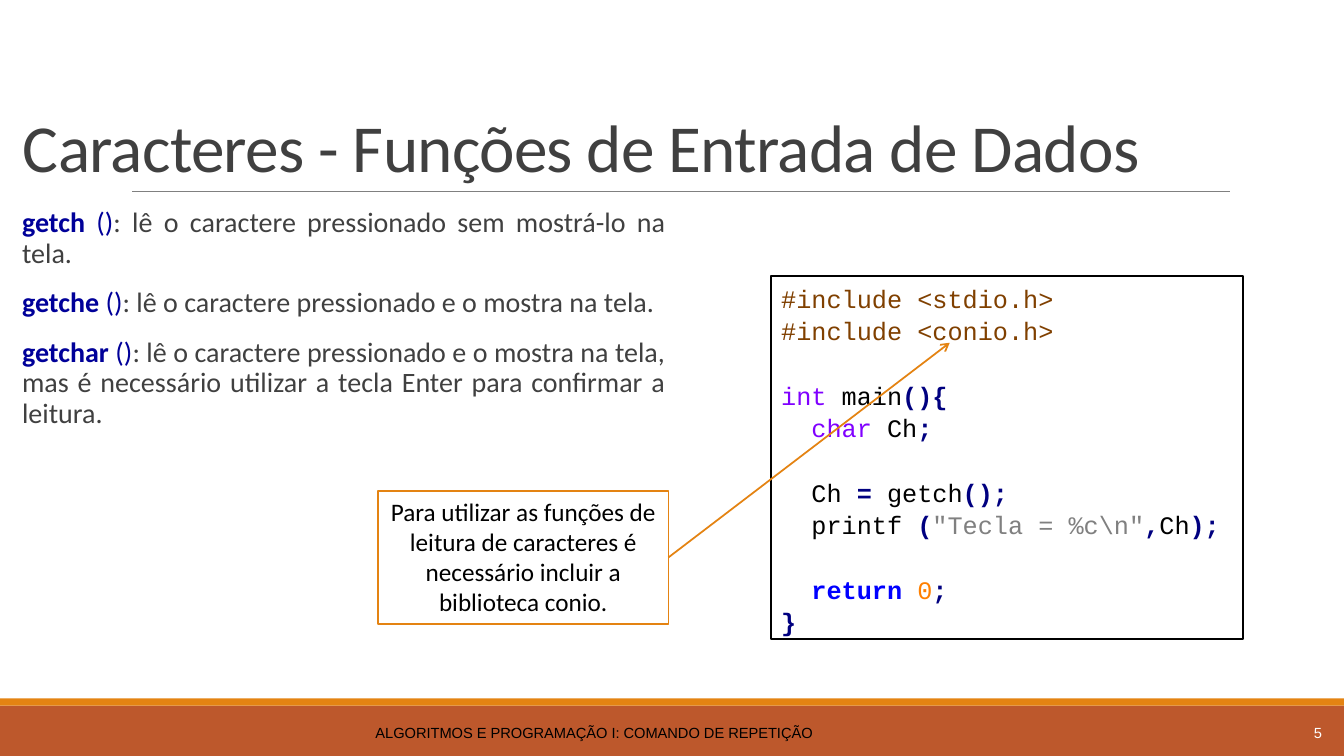
import pptx
import pptx.util
import pptx.dml.color
import pptx.enum.shapes
import pptx.enum.text
import pptx.oxml.ns
from lxml import etree

Inches = pptx.util.Inches
Pt = pptx.util.Pt
Align = pptx.enum.text.PP_ALIGN
Anchor = pptx.enum.text.MSO_ANCHOR
Rectangle = pptx.enum.shapes.MSO_SHAPE.RECTANGLE
Straight = pptx.enum.shapes.MSO_CONNECTOR.STRAIGHT

theme = {
    "white": "FFFFFF", "black": "000000", "rust": "BD582C", "orange": "E48312",
    "rule": "808080", "text": "404040", "function": "000099",
    "include": "804000", "type": "8000FF", "operator": "000080",
    "string": "808080", "keyword": "0000FF", "number": "FF8000",
    "title_size": 48, "body_size": 20, "code_size": 18, "footer_size": 10.5,
    "font": "Calibri", "code_font": "Courier New", "footer_font": "Arial",
}
bold_colors = {"function", "operator", "keyword"}


def color(name):
    return pptx.dml.color.RGBColor.from_string(theme[name])


def write(shape, lines, font, size, alignment=Align.LEFT, anchor=Anchor.TOP, spacing=None):
    frame = shape.text_frame
    frame.word_wrap = True
    frame.vertical_anchor = anchor
    for index, pieces in enumerate(lines):
        paragraph = frame.paragraphs[0] if index == 0 else frame.add_paragraph()
        paragraph.alignment = alignment
        paragraph.line_spacing = spacing
        for text, name in pieces:
            run = paragraph.add_run()
            run.text = text
            run.font.name = theme[font]
            run.font.size = Pt(theme[size])
            run.font.bold = name in bold_colors and text != " ()"
            run.font.color.rgb = color(name)
    return frame


presentation = pptx.Presentation()
presentation.slide_width = Inches(13.33)
presentation.slide_height = Inches(7.5)
slide = presentation.slides.add_slide(presentation.slide_layouts[6])
shapes = slide.shapes

boxes = []
for left, top, width, height, fill, line in [
    (0, 7, 13.33, 0.5, "rust", None),
    (0, 6.93, 13.33, 0.07, "orange", None),
    (7.65, 2.74, 4.68, 3.6, "white", "black"),
    (3.75, 4.87, 2.88, 1.32, "white", "orange"),
]:
    box = shapes.add_shape(Rectangle, Inches(left), Inches(top), Inches(width), Inches(height))
    box.shadow.inherit = False
    box.fill.solid()
    box.fill.fore_color.rgb = color(fill)
    if line:
        box.line.color.rgb = color(line)
        box.line.width = Pt(1.25)
    else:
        box.line.fill.background()
    boxes.append(box)
footer_band, footer_stripe, code, callout = boxes

title = shapes.add_textbox(Inches(0.13), Inches(0.31), Inches(13.1), Inches(1.59))
title_frame = write(title, [[("Caracteres - Funções de Entrada de Dados", "text")]],
                    "font", "title_size", anchor=Anchor.BOTTOM, spacing=0.85)
title_frame.paragraphs[0].runs[0].font._element.set("spc", "-50")

functions = [
    ("getch", ": lê o caractere pressionado sem mostrá-lo na tela."),
    ("getche", ": lê o caractere pressionado e o mostra na tela."),
    ("getchar", ": lê o caractere pressionado e o mostra na tela, mas é necessário "
                "utilizar a tecla Enter para confirmar a leitura."),
]
body = shapes.add_textbox(Inches(0.12), Inches(2.02), Inches(6.48), Inches(4.91))
body_frame = write(
    body,
    [[(name, "function"), (" ()", "function"), (description, "text")]
     for name, description in functions],
    "font", "body_size", Align.JUSTIFY, spacing=0.9)
body_frame.margin_left = Inches(0.1)
body_frame.margin_right = 0
for paragraph in body_frame.paragraphs:
    paragraph.space_before = Pt(12)
    paragraph.space_after = Pt(2)

code_lines = [
    (0, False, [("#include <stdio.h>", "include")]),
    (0, False, [("#include <conio.h>", "include")]),
    (0, True, [("int ", "type"), ("main", "black"), ("(){", "operator")]),
    (1, False, [("char ", "type"), ("Ch", "black"), (";", "operator")]),
    (1, True, [("Ch ", "black"), ("= ", "operator"), ("getch", "black"), ("();", "operator")]),
    (1, False, [("printf ", "black"), ("(", "operator"), ('"Tecla = %c\\n"', "string"),
                (",", "operator"), ("Ch", "black"), (");", "operator")]),
    (1, True, [("return ", "keyword"), ("0", "number"), (";", "operator")]),
    (0, False, [("}", "operator")]),
]
code_frame = write(code, [pieces for _, _, pieces in code_lines],
                   "code_font", "code_size", spacing=1.07)
for paragraph, (level, gap, _) in zip(code_frame.paragraphs, code_lines):
    paragraph._p.get_or_add_pPr().set("marL", str(Inches(0.3 * level)))
    if gap:
        paragraph.space_before = Pt(23)

write(callout,
      [[("Para utilizar as funções de leitura de caracteres é necessário incluir a "
         "biblioteca conio.", "black")]],
      "font", "code_size", Align.CENTER)

for left, width, text, name, alignment in [
    (0.12, 11.55, "ALGORITMOS E PROGRAMAÇÃO I: COMANDO DE REPETIÇÃO", "black", Align.CENTER),
    (11.78, 1.43, "5", "white", Align.RIGHT),
]:
    footer = shapes.add_textbox(Inches(left), Inches(7.07), Inches(width), Inches(0.4))
    write(footer, [[(text, name)]], "footer_font", "footer_size", alignment, Anchor.MIDDLE)

connectors = []
for start_x, start_y, end_x, end_y, name, width in [
    (1.31, 1.9, 12.2, 1.9, "rule", 0.5),
    (6.63, 5.53, 9.42, 3.4, "orange", 1.25),
]:
    connector = shapes.add_connector(Straight, Inches(start_x), Inches(start_y),
                                     Inches(end_x), Inches(end_y))
    connector.line.color.rgb = color(name)
    connector.line.width = Pt(width)
    etree.SubElement(connector._element.spPr, pptx.oxml.ns.qn("a:effectLst"))
    connectors.append(connector)

title_rule, callout_arrow = connectors
callout_arrow.begin_connect(callout, 3)
arrowhead = etree.SubElement(callout_arrow.line._get_or_add_ln(), pptx.oxml.ns.qn("a:tailEnd"))
arrowhead.set("type", "arrow")

presentation.save("out.pptx")
